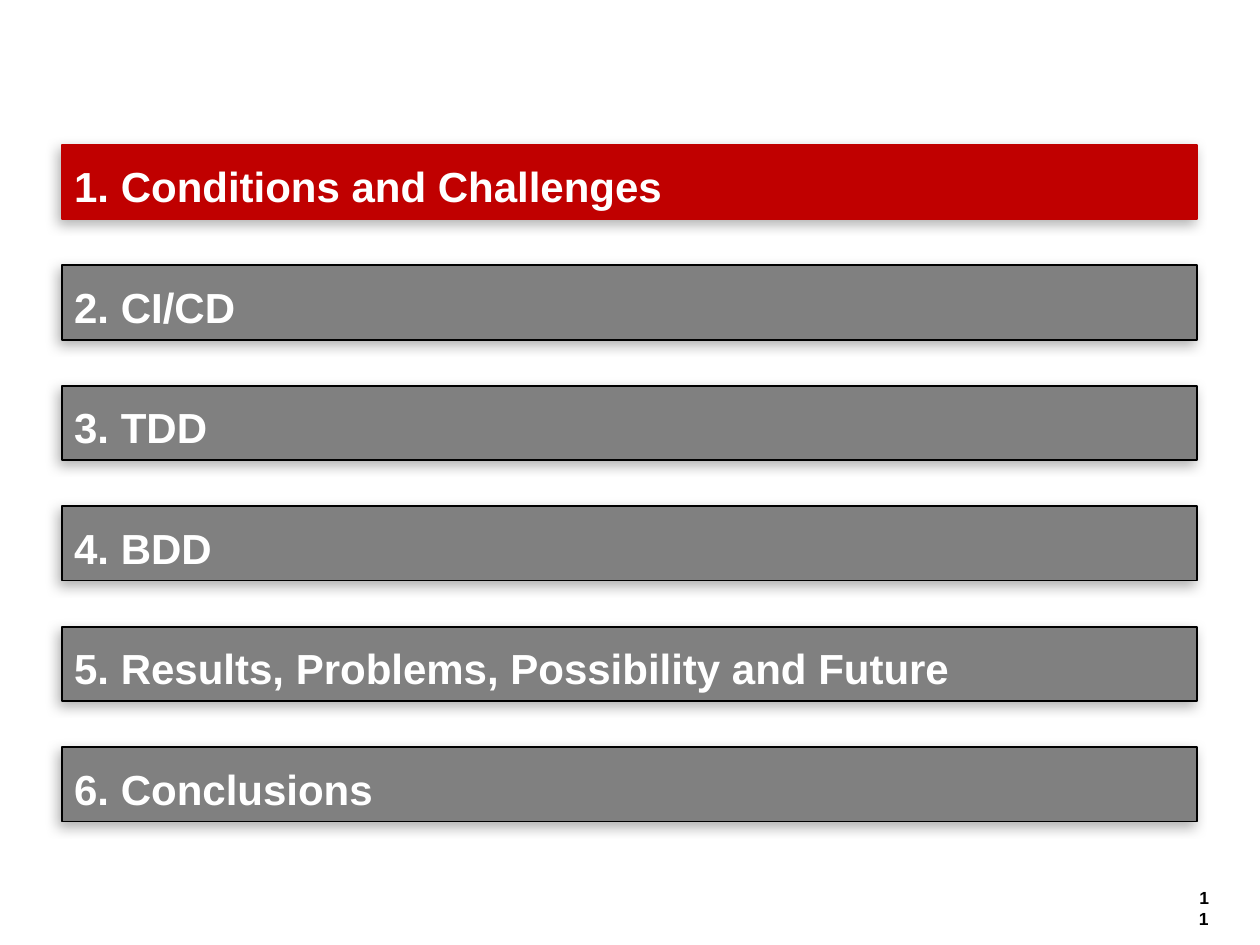
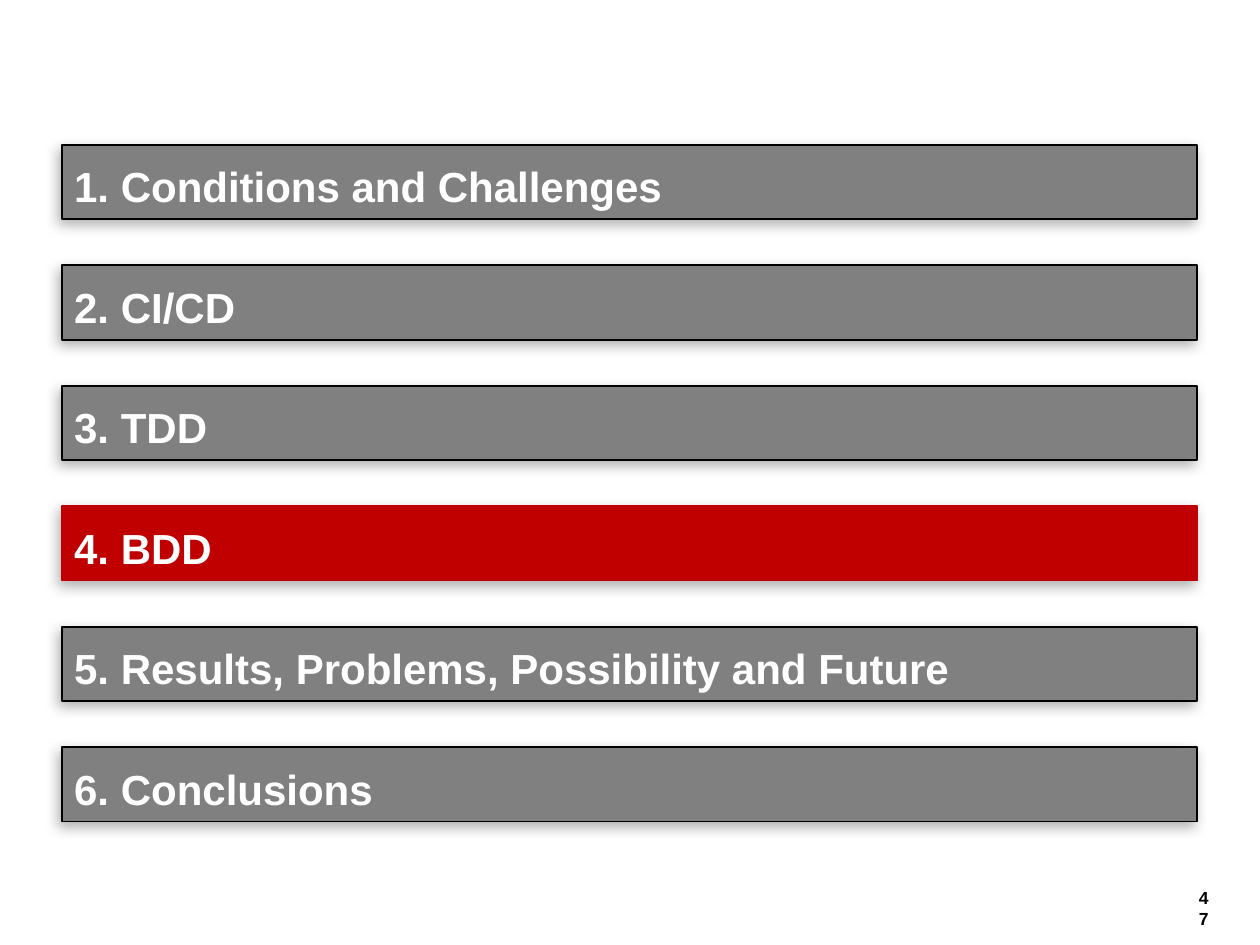
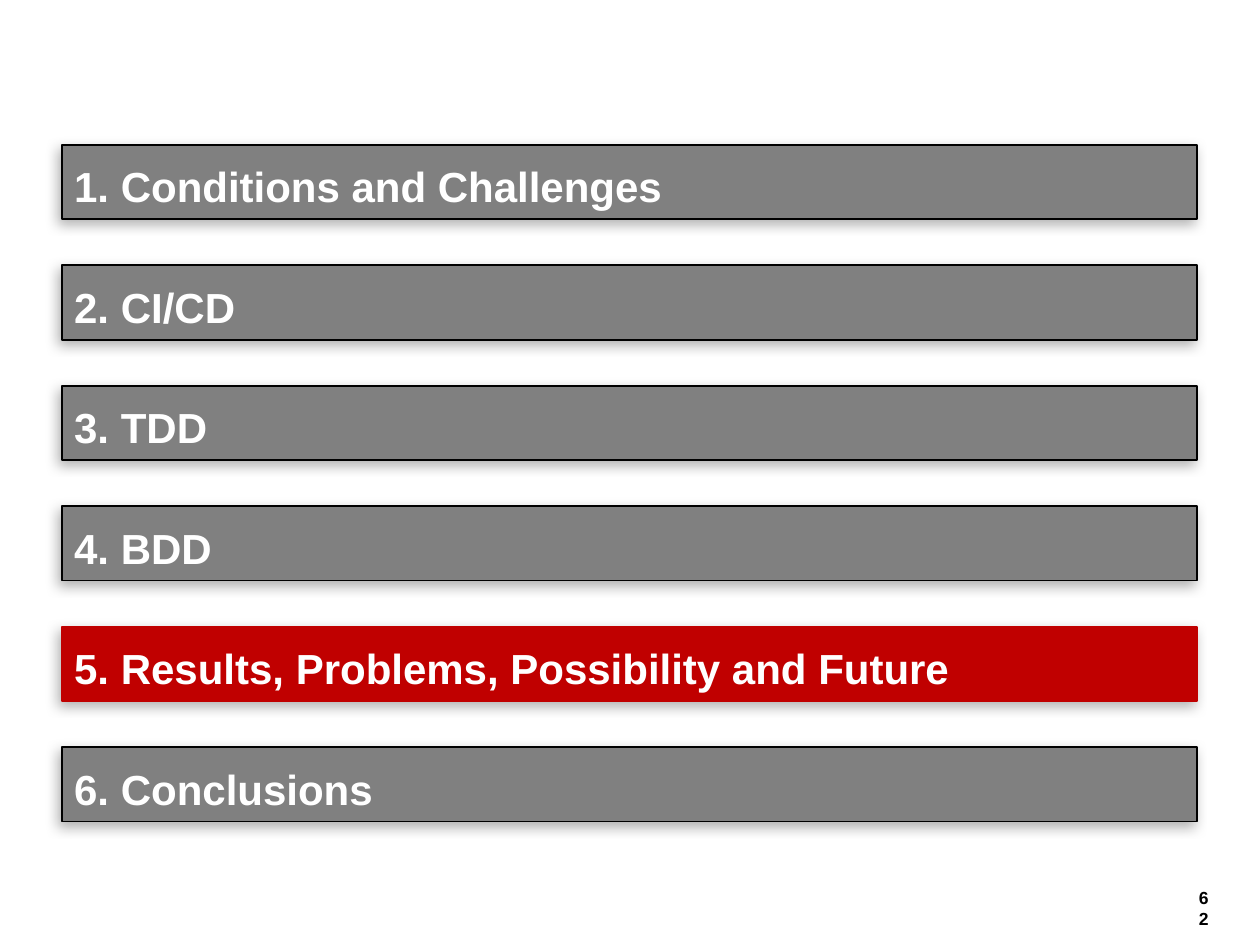
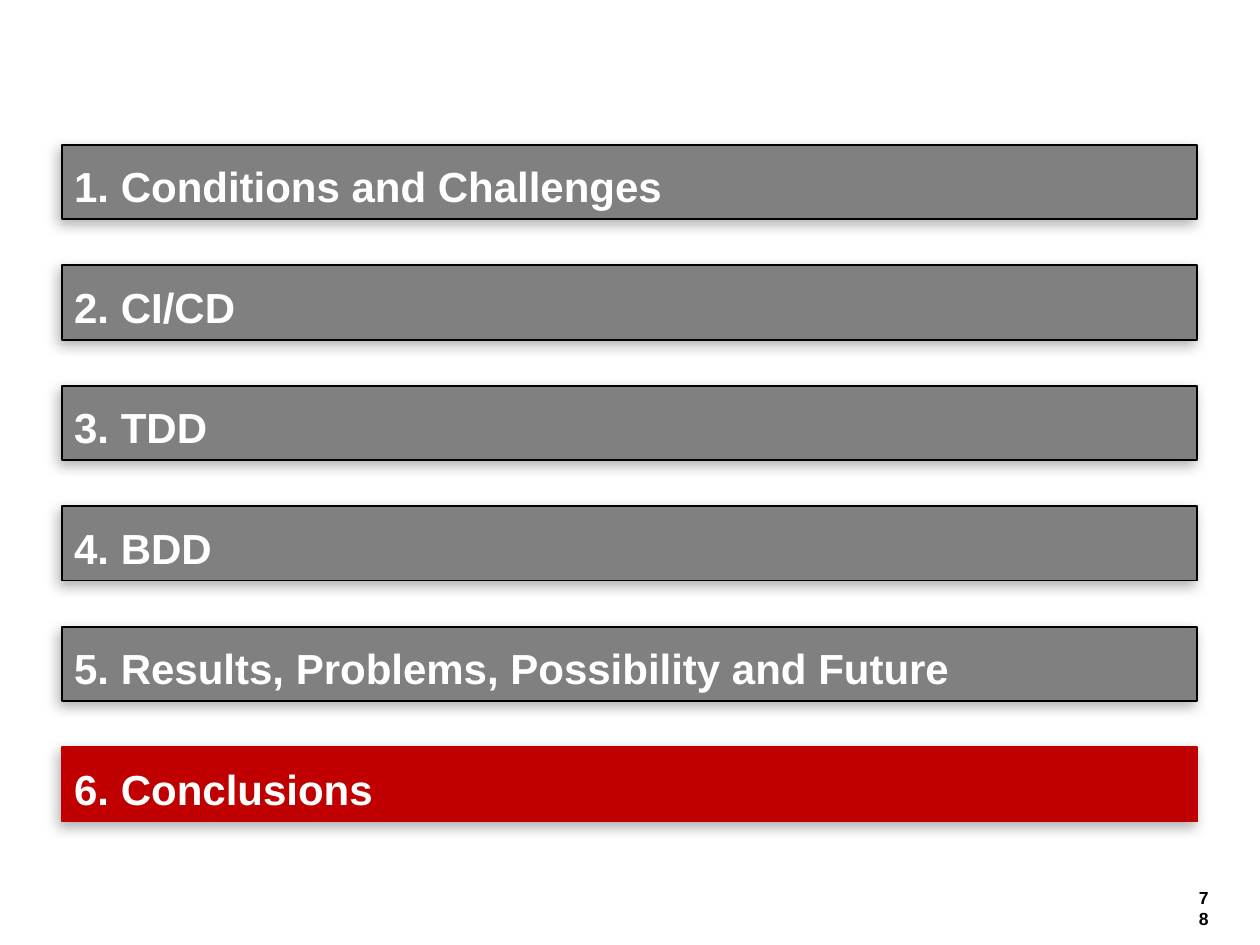
from dataclasses import dataclass

from lxml.etree import SubElement
from pptx import Presentation
from pptx.dml.color import RGBColor
from pptx.enum.shapes import MSO_SHAPE
from pptx.enum.text import MSO_ANCHOR, PP_ALIGN
from pptx.oxml.ns import qn
from pptx.util import Inches, Pt


@dataclass(frozen=True)
class Theme:
    font: str = "Arial"
    active: RGBColor = RGBColor(0xC0, 0x00, 0x00)
    inactive: RGBColor = RGBColor(0x80, 0x80, 0x80)
    light: RGBColor = RGBColor(0xFF, 0xFF, 0xFF)
    dark: RGBColor = RGBColor(0x00, 0x00, 0x00)
    bar_size: Pt = Pt(24)
    number_size: Pt = Pt(10)
    line_width: Pt = Pt(1)


theme = Theme()
sections = [
    "1. Conditions and Challenges",
    "2. CI/CD",
    "3. TDD",
    "4. BDD",
    "5. Results, Problems, Possibility and Future",
    "6. Conclusions",
]
agenda = [(0, 11), (3, 47), (4, 62), (5, 78)]
first_top, last_top = 1.15, 5.93
pitch = (last_top - first_top) / (len(sections) - 1)


def set_text(tf, text, size, color, align):
    tf.word_wrap = True
    p = tf.paragraphs[0]
    p.text = text
    p.alignment = align
    p.font.name = theme.font
    p.font.size = size
    p.font.bold = True
    p.font.color.rgb = color


def add_shadow(sp):
    sp.shadow.inherit = False
    effects = sp._element.spPr.find(qn("a:effectLst"))
    shadow = SubElement(effects, qn("a:outerShdw"), blurRad=str(Pt(7)),
                        dist=str(Pt(3)), dir=str(135 * 60000), rotWithShape="0")
    color = SubElement(shadow, qn("a:srgbClr"), val=str(theme.dark))
    SubElement(color, qn("a:alpha"), val="30000")


prs = Presentation()
prs.slide_width = Inches(10)
prs.slide_height = Inches(7.5)

for current, number in agenda:
    s = prs.slides.add_slide(prs.slide_layouts[6])

    box = s.shapes.add_textbox(Inches(9.41), Inches(6.99), Inches(0.28), Inches(0.27))
    set_text(box.text_frame, str(number), theme.number_size, theme.dark, PP_ALIGN.RIGHT)

    for i, section in enumerate(sections):
        sp = s.shapes.add_shape(MSO_SHAPE.RECTANGLE, Inches(0.49),
                                Inches(first_top + i * pitch), Inches(9.01), Inches(0.59))
        sp.fill.solid()
        sp.fill.fore_color.rgb = theme.active if i == current else theme.inactive
        sp.line.color.rgb = theme.active if i == current else theme.dark
        sp.line.width = theme.line_width
        add_shadow(sp)
        tf = sp.text_frame
        tf.vertical_anchor = MSO_ANCHOR.MIDDLE
        tf.margin_top = Inches(0.11)
        set_text(tf, section, theme.bar_size, theme.light, PP_ALIGN.LEFT)

prs.save("out.pptx")
